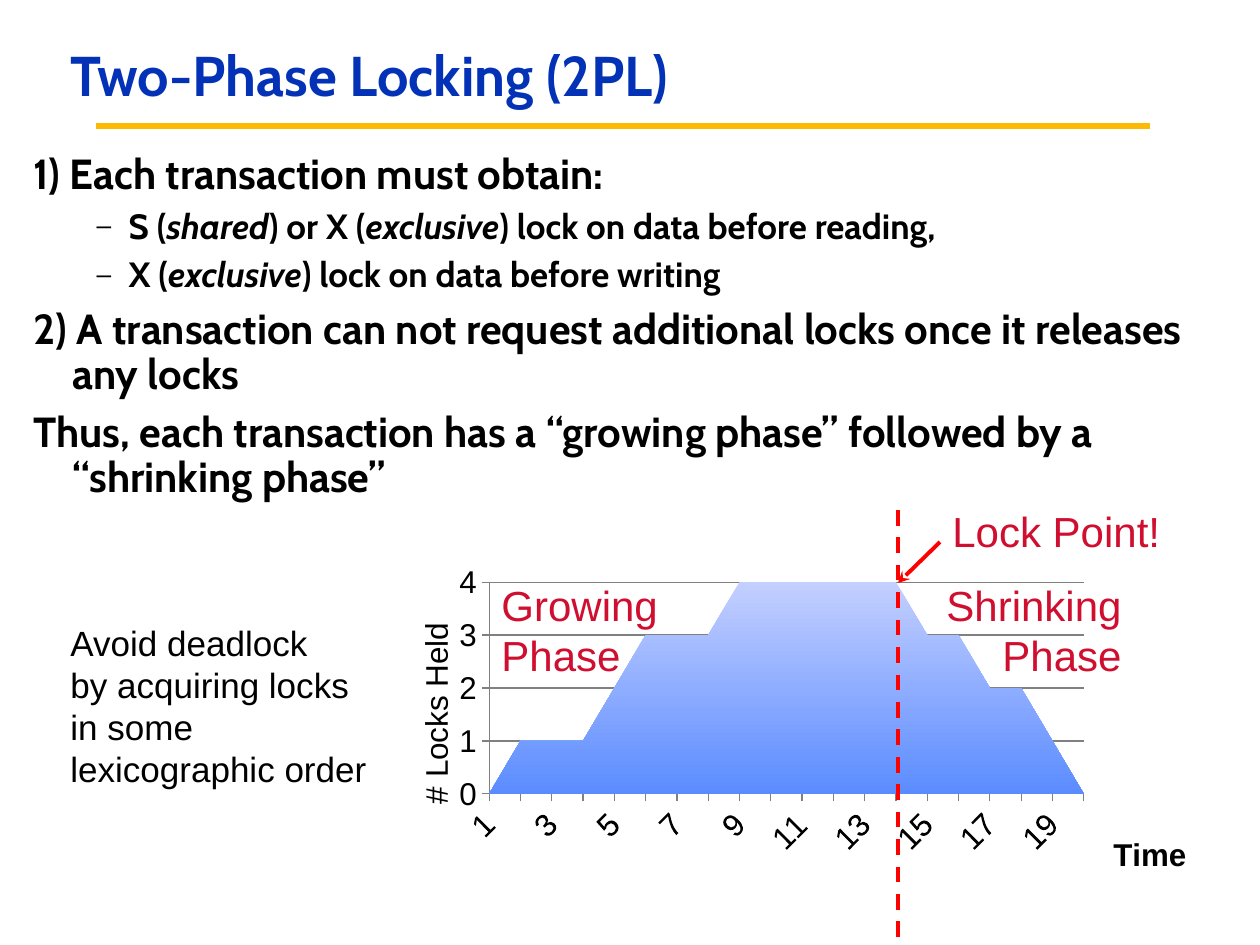
from lxml import etree
from pptx import Presentation
from pptx.chart.data import CategoryChartData
from pptx.dml.color import RGBColor
from pptx.enum.chart import XL_CHART_TYPE, XL_TICK_MARK
from pptx.enum.dml import MSO_LINE
from pptx.enum.shapes import MSO_CONNECTOR
from pptx.enum.text import MSO_ANCHOR, MSO_AUTO_SIZE, PP_ALIGN
from pptx.oxml.ns import qn
from pptx.util import Inches, Pt

PX = Inches(1) / 126
COLORS = {
    "title": "0332B7", "text": "000000", "rule": "FBBA03", "label": "CF0E30",
    "marker": "FF0000", "area_top": "C3CFFF", "area_bottom": "5B8CFF",
    "grid": "808080",
}


def px(n):
    return round(n * PX)


def rgb(name):
    return RGBColor.from_string(COLORS[name])


def sub(parent, tag, **attrs):
    return etree.SubElement(parent, qn(tag), {k: str(v) for k, v in attrs.items()})


def style_font(font, size, color="text", name="Arial", bold=False, italic=False):
    font.name, font.size = name, Pt(size)
    font.bold, font.italic = bold, italic
    font.color.rgb = rgb(color)


def write(p, text, align=None, **style):
    """Write text; *stars* mark italics and a newline is a line break."""
    if align is not None:
        p.alignment = align
    for i, line in enumerate(text.split("\n")):
        if i:
            p.add_line_break()
        for j, part in enumerate(line.split("*")):
            if part:
                r = p.add_run()
                r.text = part
                style_font(r.font, italic=j % 2 == 1, **style)


def set_layout(parent, x, y, w=None, h=None):
    """Place a chart part by fractions of the chart's size."""
    for old in parent.findall(qn("c:layout")):
        parent.remove(old)
    layout = etree.Element(qn("c:layout"))
    parent.insert(0 if parent.find(qn("c:tx")) is None else 1, layout)
    manual = sub(layout, "c:manualLayout")
    if w:
        sub(manual, "c:layoutTarget", val="inner")
    sub(manual, "c:xMode", val="edge")
    sub(manual, "c:yMode", val="edge")
    for tag, value in (("x", x), ("y", y), ("w", w), ("h", h)):
        if value is not None:
            sub(manual, f"c:{tag}", val=value)


class Deck:
    """Holds the style and the current slide."""
    heading_font = "Cabin"

    def __init__(self, prs):
        self.s = prs.slides.add_slide(prs.slide_layouts[1])

    def place(self, sp, x, y, w, h, anchor):
        sp.left, sp.top, sp.width, sp.height = map(px, (x, y, w, h))
        tf = sp.text_frame
        tf.word_wrap, tf.auto_size = True, MSO_AUTO_SIZE.NONE
        tf.vertical_anchor = anchor
        return tf

    def title(self, text, *box):
        tf = self.place(self.s.shapes.title, *box, MSO_ANCHOR.MIDDLE)
        p = tf.paragraphs[0]
        p.line_spacing = 0.9
        write(p, text, PP_ALIGN.LEFT, size=32, color="title",
              name=self.heading_font, bold=True)

    def body(self, items, *box):
        tf = self.place(self.s.placeholders[1], *box, MSO_ANCHOR.TOP)
        for i, (level, text) in enumerate(items):
            p = tf.paragraphs[0] if i == 0 else tf.add_paragraph()
            p.level, p.line_spacing = level, 0.9
            pPr = p._p.get_or_add_pPr()
            margin, indent = ((39, -39), (95, -32))[level]
            pPr.set("marL", str(px(margin)))
            pPr.set("indent", str(px(indent)))
            sub(sub(pPr, "a:spcBef"), "a:spcPct", val=30000)
            if level:
                sub(pPr, "a:buSzPct", val=75000)
                sub(pPr, "a:buChar", char="–")
            else:
                sub(pPr, "a:buNone")
            write(p, text, size=(24, 20)[level], name=self.heading_font, bold=True)

    def label(self, paragraphs, *box, size=24, color="label", align=PP_ALIGN.LEFT):
        sp = self.s.shapes.add_textbox(*map(px, box))
        tf = sp.text_frame
        tf.word_wrap, tf.auto_size = False, MSO_AUTO_SIZE.SHAPE_TO_FIT_TEXT
        for i, text in enumerate(paragraphs):
            p = tf.paragraphs[0] if i == 0 else tf.add_paragraph()
            write(p, text, align, size=size, color=color)

    def line(self, *ends, color="marker", width=2.25, dash=None, arrow=None):
        c = self.s.shapes.add_connector(MSO_CONNECTOR.STRAIGHT, *map(px, ends))
        c.line.color.rgb, c.line.width = rgb(color), Pt(width)
        if dash:
            c.line.dash_style = dash
        if arrow:
            sub(c.line._get_or_add_ln(), "a:tailEnd", type=arrow)
        sub(c._element.spPr, "a:effectLst")

    def axis(self, axis, title, x, y, bold=False, title_turn=0, label_turn=0):
        axis.major_tick_mark = XL_TICK_MARK.OUTSIDE
        axis.minor_tick_mark = XL_TICK_MARK.NONE
        axis.format.line.color.rgb = rgb("grid")
        style_font(axis.tick_labels.font, 18)
        axis._element.txPr.bodyPr.set("rot", str(label_turn * 60000))
        tf = axis.axis_title.text_frame
        write(tf.paragraphs[0], title, size=18, bold=bold)
        tf._txBody.bodyPr.set("rot", str(title_turn * 60000))
        tf._txBody.bodyPr.set("vert", "horz")
        set_layout(axis.axis_title._element, x, y)

    def area_chart(self, values, *box):
        data = CategoryChartData()
        data.categories = [str(i + 1) for i in range(len(values))]
        data.add_series("Series 1", values)
        chart = self.s.shapes.add_chart(
            XL_CHART_TYPE.AREA, *map(px, box), data).chart
        chart.has_legend = chart.has_title = False
        style_font(chart.font, 18)
        fill = chart.plots[0].series[0].format.fill
        fill.gradient()
        fill.gradient_angle = 270
        for stop, name in zip(fill.gradient_stops, ("area_top", "area_bottom")):
            stop.color.rgb = rgb(name)

        cat, val = chart.category_axis, chart.value_axis
        self.axis(cat, "Time", 0.9, 0.73, bold=True, label_turn=-45)
        self.axis(val, "# Locks Held", 0.02, 0.17, title_turn=-90)
        cat.has_major_gridlines = False
        skip = etree.Element(qn("c:tickLblSkip"), val="2")
        cat._element.find(qn("c:noMultiLvlLbl")).addprevious(skip)
        val.minimum_scale, val.maximum_scale, val.major_unit = 0, 4, 1
        val.major_gridlines.format.line.color.rgb = rgb("grid")
        val._element.find(qn("c:crossBetween")).set("val", "midCat")
        set_layout(chart._chartSpace.chart.plotArea, 0.12, 0.08, 0.75, 0.56)


def main():
    prs = Presentation()
    prs.slide_width, prs.slide_height = px(1260), px(945)
    d = Deck(prs)
    d.line(96, 126, 1150, 126, color="rule", width=3.75)
    d.title("Two-Phase Locking (2PL)", 58, 0, 1171, 157)
    d.body([
        (0, "1) Each transaction must obtain:"),
        (1, "S (*shared*) or X (*exclusive*) lock on data before reading,"),
        (1, "X (*exclusive*) lock on data before writing"),
        (0, "2) A transaction can not request additional locks once it "
            "releases any locks"),
        (0, "Thus, each transaction has a “growing phase” followed by a "
            "“shrinking phase”"),
    ], 21, 147, 1197, 451)
    d.area_chart([0, 1, 1, 1, 2, 3, 3, 3, 4, 4, 4, 4, 4, 4, 3, 3, 2, 2, 1, 0],
                 394, 552, 798, 378)
    d.line(898, 510, 898, 951, dash=MSO_LINE.DASH)
    d.label(["Growing", "Phase"], 489, 573, 183, 115)
    d.label(["Shrinking", "Phase"], 931, 573, 203, 115, align=PP_ALIGN.RIGHT)
    d.line(940, 542, 898, 583, arrow="stealth")
    d.label(["Lock Point!"], 940, 499, 236, 63)
    d.label(["Avoid deadlock\nby acquiring locks\nin some \nlexicographic order"],
            58, 615, 324, 183, size=20, color="text")
    prs.save("out.pptx")


if __name__ == "__main__":
    main()
